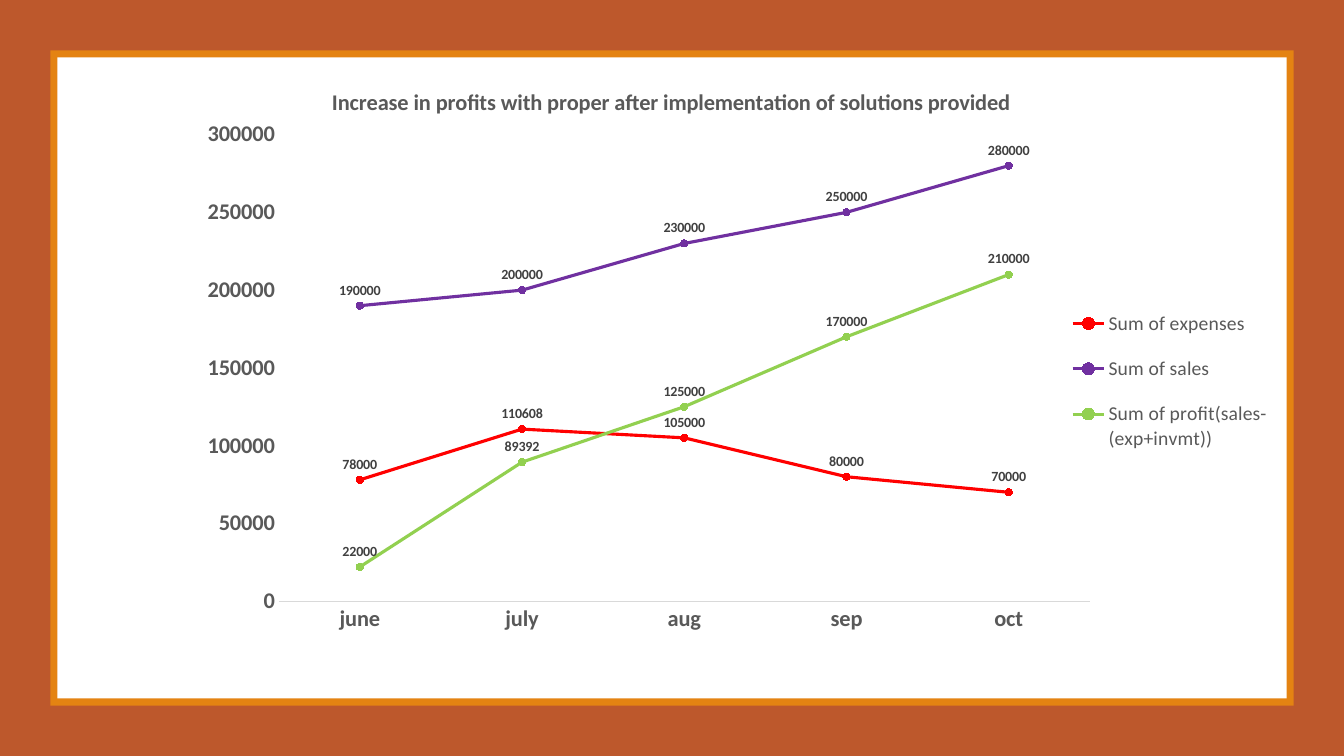
from dataclasses import dataclass

from lxml import etree
from pptx import Presentation
from pptx import util as u
from pptx.chart.data import CategoryChartData
from pptx.dml.color import RGBColor
from pptx.enum import chart as charts, shapes
from pptx.oxml.ns import qn


@dataclass(frozen=True)
class Theme:
    font: str = "Calibri"
    border: str = "BD582C"
    frame: str = "E48312"
    paper: str = "FFFFFF"
    ink: str = "595959"
    label_ink: str = "404040"
    axis: str = "D9D9D9"
    heading_size: int = 16
    legend_size: int = 14
    label_size: int = 10


MONTHS = ["june", "july", "aug", "sep", "oct"]
SERIES = [
    ("Sum of expenses", "FF0000", [78000, 110608, 105000, 80000, 70000]),
    ("Sum of sales", "7030A0", [190000, 200000, 230000, 250000, 280000]),
    ("Sum of profit(sales-(exp+invmt))", "92D050", [22000, 89392, 125000, 170000, 210000]),
]
TITLE = "Increase in profits with proper after implementation of solutions provided"


class SlideBuilder:
    def __init__(self, page, theme):
        self.page = page
        self.theme = theme

    def panel(self, left, top, width, height, color):
        box = self.page.shapes.add_shape(
            shapes.MSO_SHAPE.RECTANGLE,
            u.Inches(left), u.Inches(top), u.Inches(width), u.Inches(height))
        box.shadow.inherit = False
        box.fill.solid()
        box.fill.fore_color.rgb = RGBColor.from_string(color)
        box.line.fill.background()

    def style_font(self, font, size, color, bold=False):
        font.name = self.theme.font
        font.size = u.Pt(size)
        font.bold = bold
        font.color.rgb = RGBColor.from_string(color)

    def place(self, parent, followers, **fractions):
        """Give a chart part a manual layout in fractions of the chart."""
        for old in parent.findall(qn("c:layout")):
            parent.remove(old)
        layout = etree.Element(qn("c:layout"))
        manual = etree.SubElement(layout, qn("c:manualLayout"))
        if "target" in fractions:
            etree.SubElement(manual, qn("c:layoutTarget")).set("val", fractions.pop("target"))
        for mode in ("xMode", "yMode"):
            etree.SubElement(manual, qn(f"c:{mode}")).set("val", "edge")
        for name, value in fractions.items():
            etree.SubElement(manual, qn(f"c:{name}")).set("val", str(value))
        following = next(child for child in parent if child.tag in map(qn, followers))
        following.addprevious(layout)

    def line_chart(self, left, top, width, height):
        data = CategoryChartData(number_format="General")
        data.categories = MONTHS
        for name, _, values in SERIES:
            data.add_series(name, values)
        chart = self.page.shapes.add_chart(
            charts.XL_CHART_TYPE.LINE_MARKERS,
            u.Inches(left), u.Inches(top), u.Inches(width), u.Inches(height), data).chart
        self.style_font(chart.font, self.theme.label_size, "000000")
        chart.plots[0].vary_by_categories = False
        for series, (_, color, _) in zip(chart.plots[0].series, SERIES):
            self.style_series(series, RGBColor.from_string(color))
        self.style_axes(chart)
        self.add_title(chart)
        self.add_legend(chart)
        self.place(chart.plots[0]._element.getparent(), ["c:lineChart"],
                   target="inner", x=0.18, y=0.13, w=0.66, h=0.72)

    def style_series(self, series, color):
        series.smooth = False
        series.format.line.color.rgb = color
        series.format.line.width = u.Pt(2.25)
        series.marker.style = charts.XL_MARKER_STYLE.CIRCLE
        series.marker.size = 5
        series.marker.format.fill.solid()
        series.marker.format.fill.fore_color.rgb = color
        series.marker.format.line.color.rgb = color
        labels = series.data_labels
        labels.show_value = True
        labels.position = charts.XL_LABEL_POSITION.ABOVE
        self.style_font(labels.font, self.theme.label_size, self.theme.label_ink, True)

    def style_axes(self, chart):
        for axis in (chart.category_axis, chart.value_axis):
            axis.major_tick_mark = axis.minor_tick_mark = charts.XL_TICK_MARK.NONE
            axis.has_major_gridlines = False
            self.style_font(axis.tick_labels.font, self.theme.heading_size, self.theme.ink, True)
        chart.category_axis.format.line.color.rgb = RGBColor.from_string(self.theme.axis)
        chart.category_axis.format.line.width = u.Pt(0.75)
        values = chart.value_axis
        values.format.line.fill.background()
        values.minimum_scale, values.maximum_scale, values.major_unit = 0, 300000, 50000

    def add_title(self, chart):
        title = chart.chart_title
        span = title.text_frame.paragraphs[0].add_run()
        span.text = TITLE
        self.style_font(span.font, self.theme.heading_size, self.theme.ink, True)
        title.include_in_layout = False
        self.place(title._element, ["c:overlay"], x=0.22, y=0.05)

    def add_legend(self, chart):
        chart.has_legend = True
        legend = chart.legend
        legend.position = charts.XL_LEGEND_POSITION.RIGHT
        legend.include_in_layout = False
        self.style_font(legend.font, self.theme.legend_size, self.theme.ink)
        self.place(legend._element, ["c:overlay"], x=0.82, y=0.37, w=0.17, h=0.28)


def main():
    deck = Presentation()
    deck.slide_width, deck.slide_height = u.Inches(13.33), u.Inches(7.5)
    theme = Theme()
    builder = SlideBuilder(deck.slides.add_slide(deck.slide_layouts[6]), theme)
    for inset, color in ((0, theme.border), (0.5, theme.frame), (0.57, theme.paper)):
        builder.panel(inset, inset, 13.33 - 2 * inset, 7.5 - 2 * inset, color)
    builder.line_chart(0.57, 0.5, 12.19, 6.43)
    deck.save("out.pptx")


if __name__ == "__main__":
    main()
